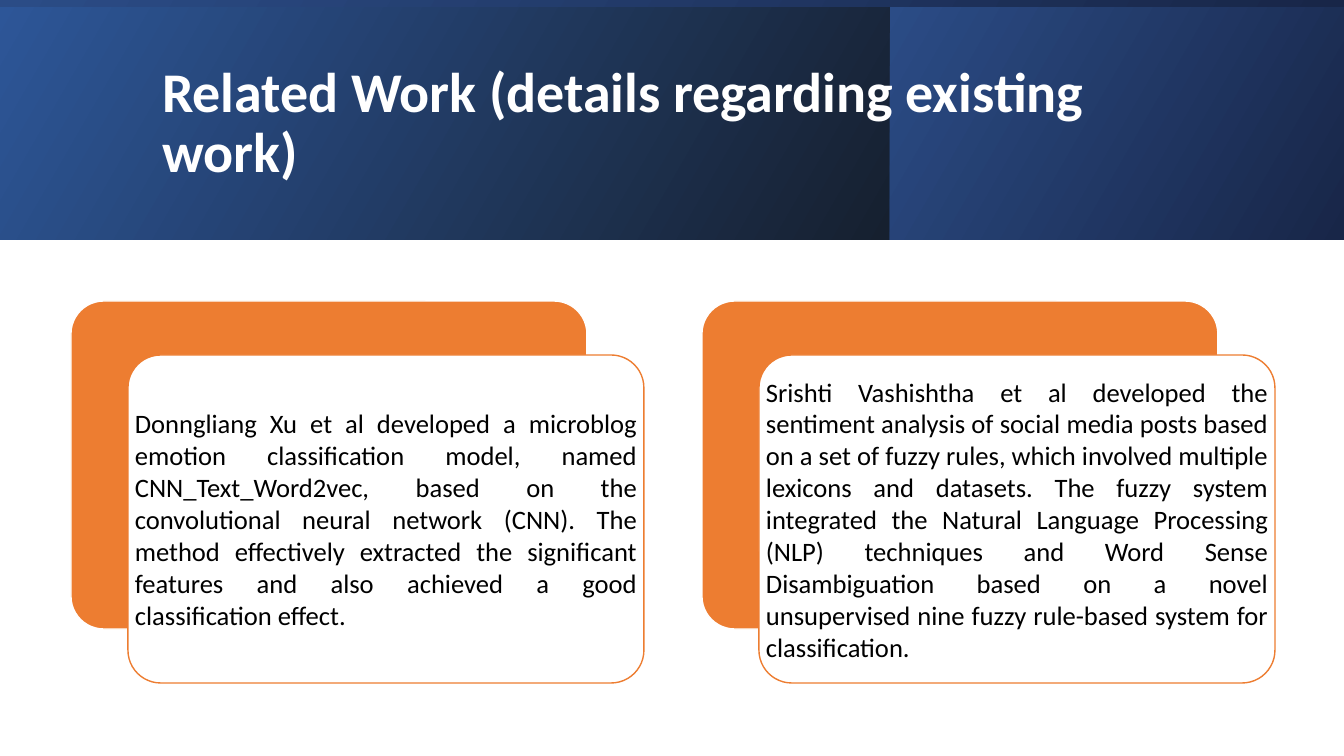
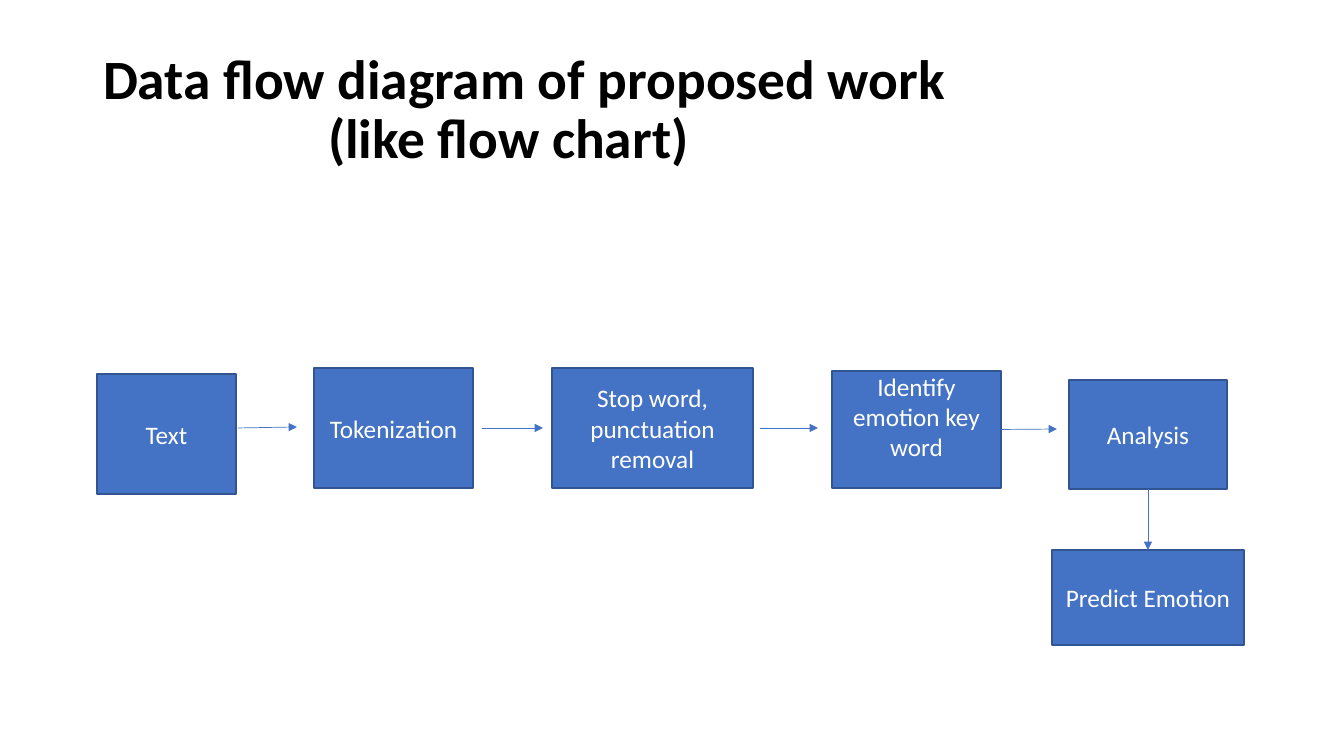
"""Builds two slides: related work cards and a data flow diagram."""
from pptx import Presentation
from pptx.dml.color import RGBColor
from pptx.enum.shapes import MSO_CONNECTOR as Wire, MSO_SHAPE as Kind
from pptx.enum.text import MSO_ANCHOR as Anchor, MSO_AUTO_SIZE as Fit, PP_ALIGN as Align
from pptx.oxml.ns import qn
from pptx.util import Emu, Pt
from lxml.etree import SubElement

PX = 914400 / 100.8
FONT = "Calibri"
WHITE = RGBColor(0xFF, 0xFF, 0xFF)
BLACK = RGBColor(0x00, 0x00, 0x00)
ORANGE = RGBColor(0xED, 0x7D, 0x31)
BLUE = RGBColor(0x44, 0x72, 0xC4)
EDGE = RGBColor(0x32, 0x54, 0x91)
SKY = RGBColor(0x2D, 0x56, 0x98)
NIGHT = RGBColor(0x16, 0x20, 0x2F)
STEEL = RGBColor(0x2B, 0x4C, 0x86)
NAVY = RGBColor(0x18, 0x26, 0x48)


def px(*sizes):
    return [Emu(round(size * PX)) for size in sizes]


def write(shape, text, size, color, align, bold=False, anchor=Anchor.MIDDLE):
    frame = shape.text_frame
    frame.text = text
    frame.word_wrap = True
    frame.auto_size = Fit.NONE
    frame.vertical_anchor = anchor
    for para in frame.paragraphs:
        para.alignment = align
        for run in para.runs:
            font = run.font
            font.name, font.size, font.bold = FONT, Pt(size), bold
            font.color.rgb = color
    return frame


deck = Presentation()
deck.slide_width, deck.slide_height = px(1344, 756)
layout = deck.slide_layouts[5]

TITLES = [
    ("Related Work (details regarding existing work)", (152, 38, 1072, 173), 40, WHITE),
    ("Data flow diagram of proposed work\n(like flow chart)", (93, 38, 1159, 146), 39.6, BLACK),
]
slides = []
for text, box, size, color in TITLES:
    slide = deck.slides.add_slide(layout)
    title = slide.shapes.title
    title.left, title.top, title.width, title.height = px(*box)
    frame = write(title, text, size, color, Align.LEFT, bold=True)
    for para in frame.paragraphs:
        para.line_spacing = 0.9
        para.space_before = Pt(0)
    slides.append(slide)
work, flow = slides
indent = px(225)[0]
flow.shapes.title.text_frame.paragraphs[1]._p.get_or_add_pPr().set("marL", str(indent))

BANDS = [
    ((0, 0, 890, 240), SKY, NIGHT),
    ((890, 0, 454, 240), STEEL, NAVY),
    ((0, 0, 1344, 7), STEEL, NAVY),
]
for box, start, end in BANDS:
    band = work.shapes.add_shape(Kind.RECTANGLE, *px(*box))
    band.shadow.inherit = False
    band.line.fill.background()
    band.fill.gradient()
    band.fill.gradient_angle = 330
    for stop, color in zip(band.fill.gradient_stops, (start, end)):
        stop.color.rgb = color
    work.shapes.title.element.addprevious(band.element)

CARDS = [
    "Donngliang Xu et al developed a microblog emotion classification model, named "
    "CNN_Text_Word2vec, based on the convolutional neural network (CNN). The method "
    "effectively extracted the significant features and also achieved a good "
    "classification effect.",
    "Srishti Vashishtha et al developed the sentiment analysis of social media posts "
    "based on a set of fuzzy rules, which involved multiple lexicons and datasets. The "
    "fuzzy system integrated the Natural Language Processing (NLP) techniques and Word "
    "Sense Disambiguation based on a novel unsupervised nine fuzzy rule-based system for "
    "classification.",
]
WIDE, TALL = 516, 328
for col, text in enumerate(CARDS):
    left = 71 + 631 * col
    for x, y, fill, edge in ((left, 301, ORANGE, WHITE), (left + 57, 355, WHITE, ORANGE)):
        card = work.shapes.add_shape(Kind.ROUNDED_RECTANGLE, *px(x, y, WIDE, TALL))
        card.adjustments[0] = 0.1
        card.shadow.inherit = False
        card.fill.solid()
        card.fill.fore_color.rgb = fill
        card.line.color.rgb = edge
        card.line.width = Pt(1)
    note = work.shapes.add_textbox(*px(x, y, WIDE, TALL))
    frame = write(note, text, 19, BLACK, Align.JUSTIFY)
    frame.margin_left = frame.margin_right = px(7)[0]

STEPS = [
    ("Text", (97, 374, 139, 120)),
    ("Tokenization", (314, 368, 159, 120)),
    ("Stop word,\npunctuation removal", (552, 368, 201, 120)),
    ("Identify emotion key word", (832, 371, 169, 117)),
    ("Analysis", (1069, 380, 158, 109)),
    ("Predict Emotion", (1052, 550, 192, 95)),
]
steps = []
for text, box in STEPS:
    step = flow.shapes.add_shape(Kind.RECTANGLE, *px(*box))
    step.shadow.inherit = False
    step.fill.solid()
    step.fill.fore_color.rgb = BLUE
    step.line.color.rgb = EDGE
    step.line.width = Pt(1)
    write(step, text, 18, WHITE, Align.CENTER)
    steps.append(step)
text, token, stop, key, study, guess = steps
key.text_frame.vertical_anchor = Anchor.TOP
key.text_frame.margin_top = 0

ARROWS = [
    ((238, 428, 297, 427), None, None),
    ((482, 428, 543, 428), None, None),
    ((760, 428, 818, 428), None, None),
    ((1001, 430, 1057, 429), (key, 3), None),
    ((1148, 489, 1148, 550), (study, 2), (guess, 0)),
]
for ends, tail, head in ARROWS:
    wire = flow.shapes.add_connector(Wire.STRAIGHT, *px(*ends))
    if tail:
        wire.begin_connect(*tail)
    if head:
        wire.end_connect(*head)
    wire.line.color.rgb = BLUE
    wire.line.width = Pt(0.5)
    props = wire.element.spPr
    SubElement(props.find(qn("a:ln")), qn("a:tailEnd"), type="triangle")
    SubElement(props, qn("a:effectLst"))

deck.save("out.pptx")
